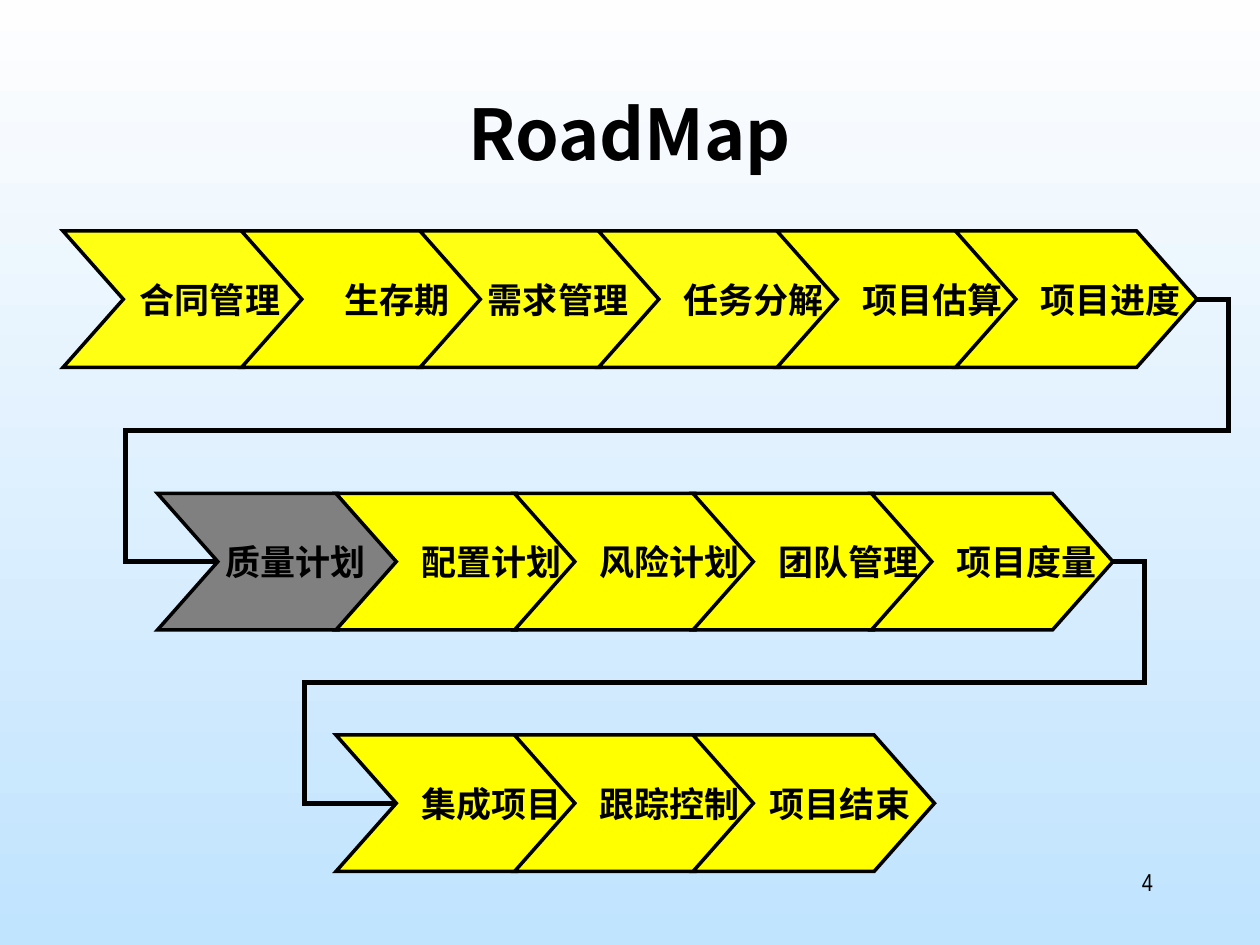
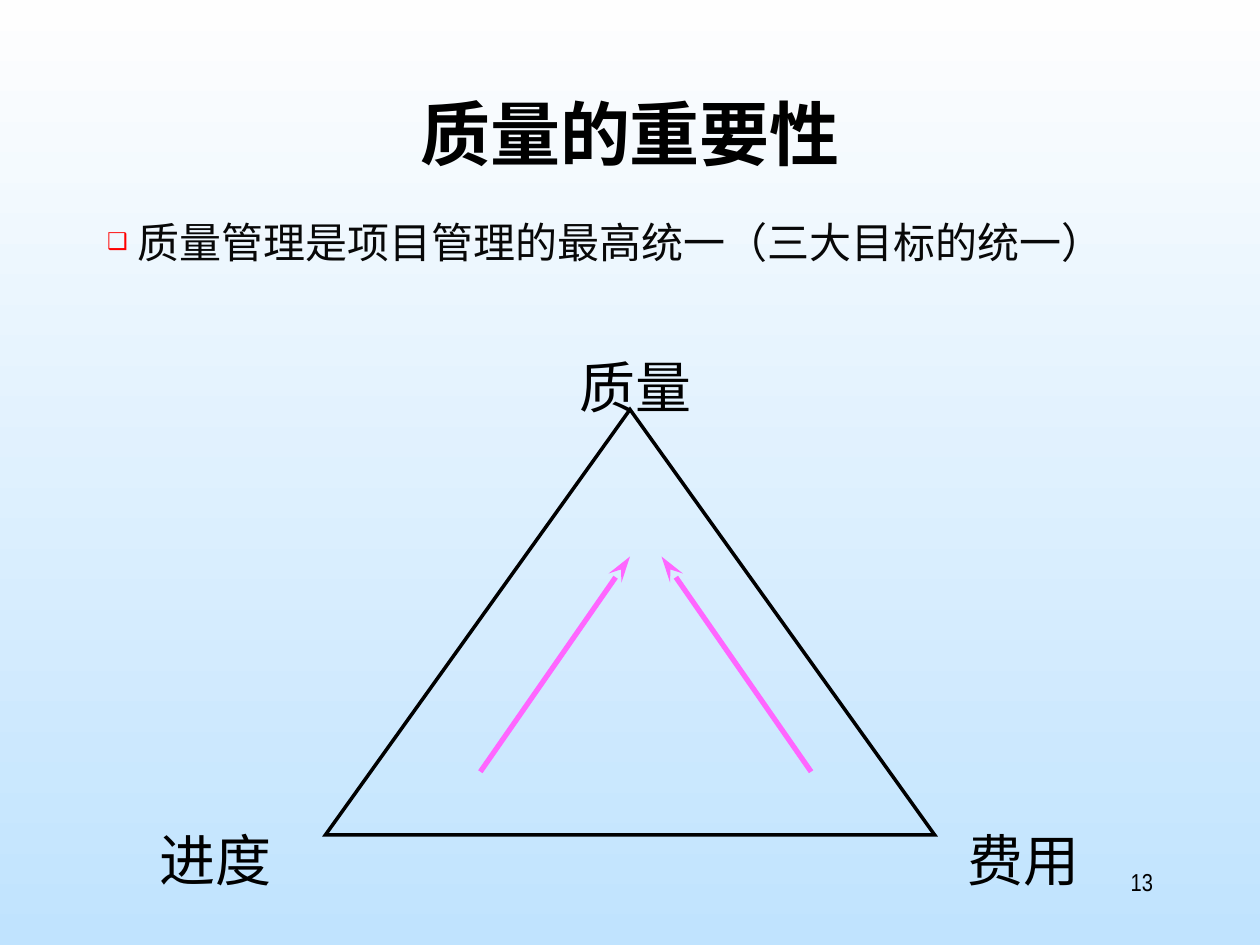
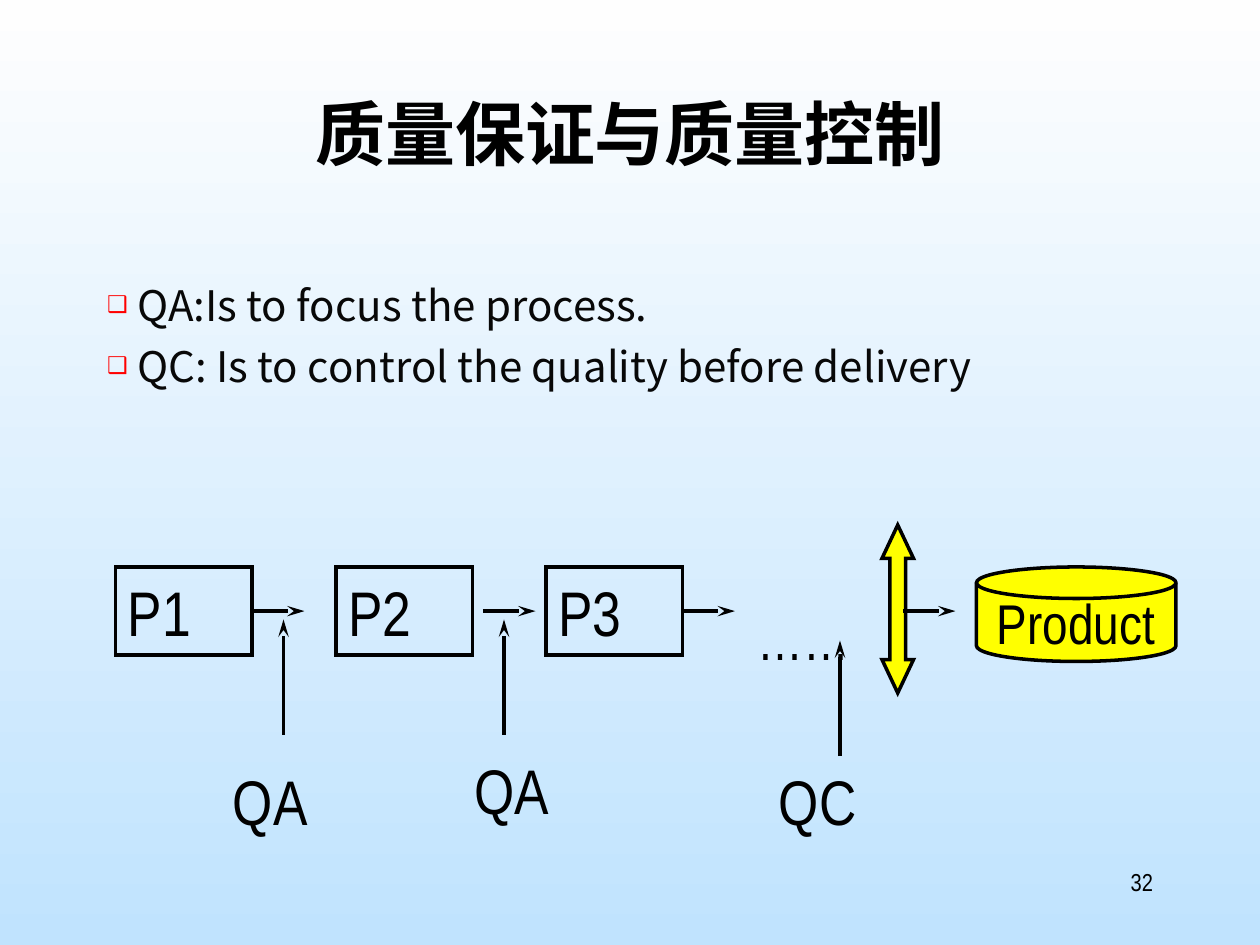
from dataclasses import dataclass

from lxml.etree import SubElement
from pptx import Presentation
from pptx.dml.color import RGBColor
from pptx.enum.shapes import MSO_CONNECTOR as Link, MSO_SHAPE as Preset
from pptx.enum.text import MSO_ANCHOR as Anchor, MSO_AUTO_SIZE as AutoSize, PP_ALIGN as Align
from pptx.oxml.ns import qn
from pptx.util import Inches, Pt


@dataclass(frozen=True)
class Theme:
    black: str = "000000"
    body_ink: str = "080808"
    yellow: str = "FFFF00"
    light_yellow: str = "FFFF13"
    gray: str = "808080"
    pink: str = "FF66FF"
    red: str = "FF0000"
    sky: tuple = ("FEFEFE", "C0E3FE")
    latin: str = "Arial Narrow"
    cjk: str = "Noto Sans CJK SC"
    title_size: int = 40
    process_size: int = 36
    label_size: int = 32
    body_size: int = 24
    step_size: int = 20
    number_size: int = 14
    thin: int = 2
    thick: int = 3


THEME = Theme()

# All positions count cells of a grid with twelve cells to the inch.
CELLS_PER_INCH = 12
SLIDE = (120, 90)
TITLE_BOX = (9, 8, 102, 15)
NUMBER_BOX = (86, 82, 25, 6)

# Roadmap: rows start at (column, row); a step is (label, fill, label shift).
STEP_WIDTH, STEP_HEIGHT, STEP_PITCH, STEP_TIP = 23, 13, 17, 5.75
LANE_GAP = 3
FAR, MIDDLE, NEAR = 3.3, 2.5, 1.65
ROADMAP = [
    ((6, 22), [("合同管理", THEME.light_yellow, MIDDLE), ("生存期", THEME.yellow, FAR),
               ("需求管理", THEME.light_yellow, NEAR), ("任务分解", THEME.light_yellow, FAR),
               ("项目估算", THEME.yellow, FAR), ("项目进度", THEME.yellow, FAR)]),
    ((15, 47), [("质量计划", THEME.gray, NEAR), ("配置计划", THEME.yellow, FAR),
                ("风险计划", THEME.yellow, FAR), ("团队管理", THEME.yellow, FAR),
                ("项目度量", THEME.yellow, FAR)]),
    ((32, 70), [("集成项目", THEME.yellow, FAR), ("跟踪控制", THEME.yellow, FAR),
                ("项目结束", THEME.yellow, MIDDLE)]),
]

# Importance of quality
IMPORTANCE = ["质量管理是项目管理的最高统一（三大目标的统一）"]
TRIANGLE_BOX = (31, 39, 58, 40.5)
GOALS = [("质量", 54, 33), ("进度", 14, 78), ("费用", 91, 78)]
GOAL_SIZE = (15, 7.7)
PULLS = [((45.75, 73.5), (60, 53)), ((77.25, 73.5), (63, 53))]

# Assurance and control
DEFINITIONS = ["QA:Is to focus the process.", "QC: Is to control the quality before delivery"]
PROCESSES = [("P1", 11), ("P2", 32), ("P3", 52)]
PROCESS_TOP, PROCESS_WIDTH, PROCESS_HEIGHT = 54, 13, 8.4
FLOW_LENGTH = 5
LOOSE_FLOWS = [46, 86]
GATE_SHAFT, GATE_HEAD = 0.5, 1.06
CHECKS = [("QA", 21, 72, (27, 70)), ("QA", 44, 71, (48, 70)), ("QC", 73, 72, (80, 72))]
CHECK_SIZE, CHECK_REACH = (16, 8.4), 11


def cells(*counts):
    return [Inches(count / CELLS_PER_INCH) for count in counts]


def rgb(value):
    return RGBColor.from_string(value)


def assign(target, **formats):
    for name, value in formats.items():
        setattr(target, name, value)


def place(shape, box):
    assign(shape, **dict(zip(("left", "top", "width", "height"), cells(*box))))


def write(shape, lines, size, color=THEME.black, latin=THEME.latin, bold=False,
          frame_format=None, **para_format):
    frame = shape.text_frame
    formats = dict(word_wrap=True, auto_size=AutoSize.NONE, vertical_anchor=Anchor.TOP)
    assign(frame, **(formats | (frame_format or {})))
    for index, line in enumerate(lines):
        para = frame.add_paragraph() if index else frame.paragraphs[0]
        assign(para, **({"alignment": Align.LEFT} | para_format))
        span = para.add_run()
        span.text = line
        assign(span.font, name=latin, size=Pt(size), bold=bold)
        span.font.color.rgb = rgb(color)
        SubElement(span.font._element, qn("a:ea"), typeface=THEME.cjk)


def add_label(page, text, box, size, **formats):
    label = page.shapes.add_textbox(*cells(*box))
    write(label, [text], size, **formats)


def stroke(shape, color=THEME.black, width=THEME.thin):
    """Draw the outline with sharp corners and return its XML element."""
    shape.line.color.rgb = rgb(color)
    shape.line.width = Pt(width)
    outline = shape._element.spPr.find(qn("a:ln"))
    SubElement(outline, qn("a:miter"), lim="800000")
    return outline


def paint(shape, fill=None):
    shape.shadow.inherit = False
    if fill:
        shape.fill.solid()
        shape.fill.fore_color.rgb = rgb(fill)
    else:
        shape.fill.background()
    stroke(shape)


def add_preset(page, kind, box, fill=None):
    shape = page.shapes.add_shape(kind, *cells(*box))
    paint(shape, fill)
    return shape


def set_guides(shape, ratios):
    """Give the preset geometry its adjustments adj1, adj2 and so on."""
    geometry = shape._element.spPr.find(qn("a:prstGeom"))
    for guides in geometry.findall(qn("a:avLst")):
        geometry.remove(guides)
    guides = SubElement(geometry, qn("a:avLst"))
    for index, ratio in enumerate(ratios, 1):
        SubElement(guides, qn("a:gd"), name=f"adj{index}", fmla=f"val {round(ratio * 100000)}")
    return geometry


def add_line(page, start, end, color=THEME.black, width=THEME.thin,
             kind=Link.STRAIGHT, arrow=True):
    line = page.shapes.add_connector(kind, *cells(*start, *end))
    outline = stroke(line, color, width)
    if arrow:
        SubElement(outline, qn("a:tailEnd"), type="stealth", w="med", len="lg")
    SubElement(line._element.spPr, qn("a:effectLst"))
    return line


def add_page(deck, layout, title, number):
    page = deck.slides.add_slide(deck.slide_layouts.get_by_name(layout))
    place(page.shapes.title, TITLE_BOX)
    write(page.shapes.title, [title], THEME.title_size, latin=THEME.cjk, bold=True,
          alignment=Align.CENTER)
    add_label(page, number, NUMBER_BOX, THEME.number_size, alignment=Align.RIGHT)
    return page


def fill_body(page, lines, box, latin):
    body = page.placeholders[1]
    place(body, box)
    write(body, lines, THEME.body_size, THEME.body_ink, latin, space_before=Pt(6))
    hang = Inches(0.24)
    for para in body.text_frame.paragraphs:
        properties = para._p.get_or_add_pPr()
        properties.set("marL", str(hang))
        properties.set("indent", str(-hang))
        color = SubElement(properties, qn("a:buClr"))
        SubElement(color, qn("a:srgbClr"), val=THEME.red)
        SubElement(properties, qn("a:buSzPct"), val="55000")
        SubElement(properties, qn("a:buChar"), char="❑")


def add_step(page, left, top, label, fill, shift):
    right, bottom, middle = left + STEP_WIDTH, top + STEP_HEIGHT, top + STEP_HEIGHT / 2
    shoulder = right - STEP_TIP
    outline = [(shoulder, top), (right, middle), (shoulder, bottom),
               (left, bottom), (left + STEP_TIP, middle)]
    builder = page.shapes.build_freeform(*cells(left, top))
    builder.add_line_segments([cells(*point) for point in outline], close=True)
    step = builder.convert_to_shape()
    paint(step, fill)
    inset = Inches(0.1) + cells(2 * shift)[0]
    write(step, [label], THEME.step_size, bold=True, alignment=Align.CENTER,
          frame_format=dict(word_wrap=False, vertical_anchor=Anchor.MIDDLE, margin_left=inset))


def add_return(page, row, next_row):
    """Lead a five-part elbow from the tip of one row to the notch of the next."""
    (left, top), steps = row
    (next_left, next_top), _ = next_row
    start_x = left + (len(steps) - 1) * STEP_PITCH + STEP_WIDTH
    end_x = next_left + STEP_TIP
    half = STEP_HEIGHT / 2
    line = add_line(page, (start_x, top + half), (end_x, next_top + half),
                    width=THEME.thick, kind=Link.ELBOW, arrow=False)
    span = start_x - end_x
    bends = [-LANE_GAP / span, 0.5, (start_x - next_left + LANE_GAP) / span]
    set_guides(line, bends).set("prst", "bentConnector5")


def build_roadmap(deck):
    page = add_page(deck, "Title Only", "RoadMap", "4")
    for (left, top), steps in ROADMAP:
        for index, step in enumerate(steps):
            add_step(page, left + index * STEP_PITCH, top, *step)
    for row, next_row in zip(ROADMAP, ROADMAP[1:]):
        add_return(page, row, next_row)


def build_importance(deck):
    page = add_page(deck, "Title and Content", "质量的重要性", "13")
    fill_body(page, IMPORTANCE, (9, 20, 102, 9), THEME.latin)
    add_preset(page, Preset.ISOSCELES_TRIANGLE, TRIANGLE_BOX)
    for goal, left, top in GOALS:
        add_label(page, goal, (left, top, *GOAL_SIZE), THEME.label_size)
    for start, end in PULLS:
        add_line(page, start, end, THEME.pink, THEME.thick)


def build_control(deck):
    page = add_page(deck, "Title and Content", "质量保证与质量控制", "32")
    fill_body(page, DEFINITIONS, (9, 26, 102, 13), THEME.cjk)
    axis = PROCESS_TOP + PROCESS_HEIGHT / 2

    def add_flow(left):
        return add_line(page, (left, axis), (left + FLOW_LENGTH, axis))

    for name, left in PROCESSES:
        box = add_preset(page, Preset.RECTANGLE,
                         (left, PROCESS_TOP, PROCESS_WIDTH, PROCESS_HEIGHT))
        write(box, [name], THEME.process_size)
        if name != "P2":
            add_flow(left + PROCESS_WIDTH).begin_connect(box, 3)
    add_label(page, "……", (71, 57, 13, 7.7), THEME.label_size)
    gate = add_preset(page, Preset.UP_DOWN_ARROW, (84, 50, 3, 16), THEME.yellow)
    set_guides(gate, [GATE_SHAFT, GATE_HEAD])
    product = add_preset(page, Preset.FLOWCHART_MAGNETIC_DISK, (93, 54, 19, 9), THEME.yellow)
    write(product, ["Product"], THEME.label_size, alignment=Align.CENTER,
          frame_format=dict(word_wrap=False, vertical_anchor=Anchor.MIDDLE))
    for left in LOOSE_FLOWS:
        add_flow(left)
    for name, left, top, (column, foot) in CHECKS:
        add_label(page, name, (left, top, *CHECK_SIZE), THEME.process_size)
        add_line(page, (column, foot), (column, foot - CHECK_REACH))


def main():
    deck = Presentation()
    deck.slide_width, deck.slide_height = cells(*SLIDE)
    sky = deck.slide_master.background.fill
    sky.gradient()
    sky.gradient_angle = 270
    for stop, color in zip(sky.gradient_stops, THEME.sky):
        stop.color.rgb = rgb(color)
    build_roadmap(deck)
    build_importance(deck)
    build_control(deck)
    deck.save("out.pptx")


if __name__ == "__main__":
    main()
